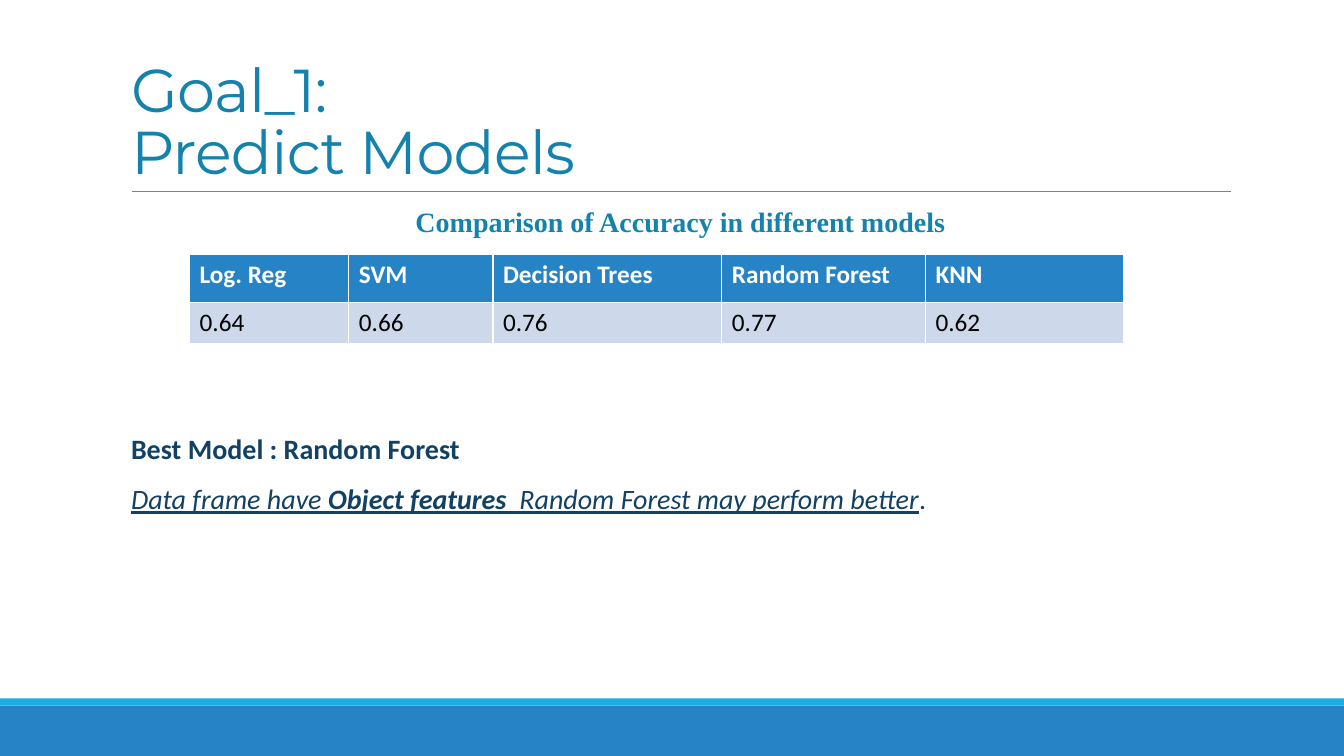
from lxml.etree import SubElement
from pptx import Presentation
from pptx.dml.color import RGBColor
from pptx.enum.shapes import MSO_CONNECTOR, MSO_SHAPE
from pptx.enum.text import MSO_ANCHOR, PP_ALIGN
from pptx.oxml.ns import qn
from pptx.util import Inches, Pt

COLORS = {
    "bar": "2683C6", "stripe": "1CADE4", "rule": "808080", "heading": "1482AC",
    "body": "134163", "white": "FFFFFF", "black": "000000", "row": "CDD9EA",
}


def style(span, font, size, color, bold=False):
    span.font.name = font
    span.font.size = Pt(size)
    span.font.color.rgb = RGBColor.from_string(COLORS[color])
    span.font.bold = bold


def add_box(left, top, width, height, anchor=MSO_ANCHOR.TOP):
    """Add a wrapping text box without side insets and return its text frame."""
    frame = page.shapes.add_textbox(
        Inches(left), Inches(top), Inches(width), Inches(height)).text_frame
    frame.word_wrap = True
    frame.vertical_anchor = anchor
    frame.margin_left = frame.margin_right = 0
    return frame


deck = Presentation()
deck.slide_width = Inches(13.33)
deck.slide_height = Inches(7.5)
page = deck.slides.add_slide(deck.slide_layouts[6])

# Footer bars and the rule under the title
for top, height, color in [(7, 0.5, "bar"), (6.93, 0.07, "stripe")]:
    bar = page.shapes.add_shape(
        MSO_SHAPE.RECTANGLE, 0, Inches(top), deck.slide_width, Inches(height))
    bar.shadow.inherit = False
    bar.fill.solid()
    bar.fill.fore_color.rgb = RGBColor.from_string(COLORS[color])
    bar.line.fill.background()

rule = page.shapes.add_connector(
    MSO_CONNECTOR.STRAIGHT, Inches(1.31), Inches(1.9), Inches(12.21), Inches(1.9))
rule.line.color.rgb = RGBColor.from_string(COLORS["rule"])
rule.line.width = Pt(0.5)
SubElement(rule._element.spPr, qn("a:effectLst"))

# Title
title = add_box(1.3, 0.31, 10.8, 1.59, MSO_ANCHOR.BOTTOM).paragraphs[0]
title.text = "Goal_1:\vPredict Models"
title.line_spacing = 0.85
for span in title.runs:
    style(span, "Montserrat", 43.2, "heading")
    span.font._element.set("spc", "-50")

# Table caption
caption = add_box(1.3, 2.02, 10.9, 0.4).paragraphs[0]
caption.text = "Comparison of Accuracy in different models"
caption.alignment = PP_ALIGN.CENTER
caption.line_spacing = 0.9
style(caption.runs[0], "Times New Roman", 20, "heading", bold=True)

# Accuracy table
accuracy = [
    ["Log. Reg", "SVM", "Decision Trees", "Random Forest", "KNN"],
    ["0.64", "0.66", "0.76", "0.77", "0.62"],
]
widths = [1.58, 1.43, 2.27, 2.02, 1.97]
heights = [0.48, 0.41]
table = page.shapes.add_table(
    len(heights), len(widths), Inches(1.88), Inches(2.52),
    Inches(sum(widths)), Inches(sum(heights))).table
for column, width in zip(table.columns, widths):
    column.width = Inches(width)
for r, (row, height) in enumerate(zip(accuracy, heights)):
    table.rows[r].height = Inches(height)
    header = r == 0
    for c, text in enumerate(row):
        cell = table.cell(r, c)
        cell.text = text
        cell.fill.solid()
        cell.fill.fore_color.rgb = RGBColor.from_string(
            COLORS["bar" if header else "row"])
        style(cell.text_frame.paragraphs[0].runs[0], "Calibri", 18,
              "white" if header else "black", bold=header)

# Conclusion: (text, bold, italic and underlined) for each run
conclusion = [
    [("Best Model : Random Forest", True, False)],
    [("Data frame have ", False, True), ("Object features  ", True, True),
     ("Random Forest may perform better", False, True), (".", False, False)],
]
frame = add_box(1.3, 4.27, 10.9, 1)
for i, parts in enumerate(conclusion):
    para = frame.add_paragraph() if i else frame.paragraphs[0]
    para.line_spacing = 0.9
    para.space_before = Pt(12 if i else 0)
    para.space_after = Pt(2)
    for text, bold, emphasis in parts:
        span = para.add_run()
        span.text = text
        style(span, "Calibri", 20, "body", bold)
        span.font.italic = span.font.underline = emphasis

deck.save("out.pptx")
